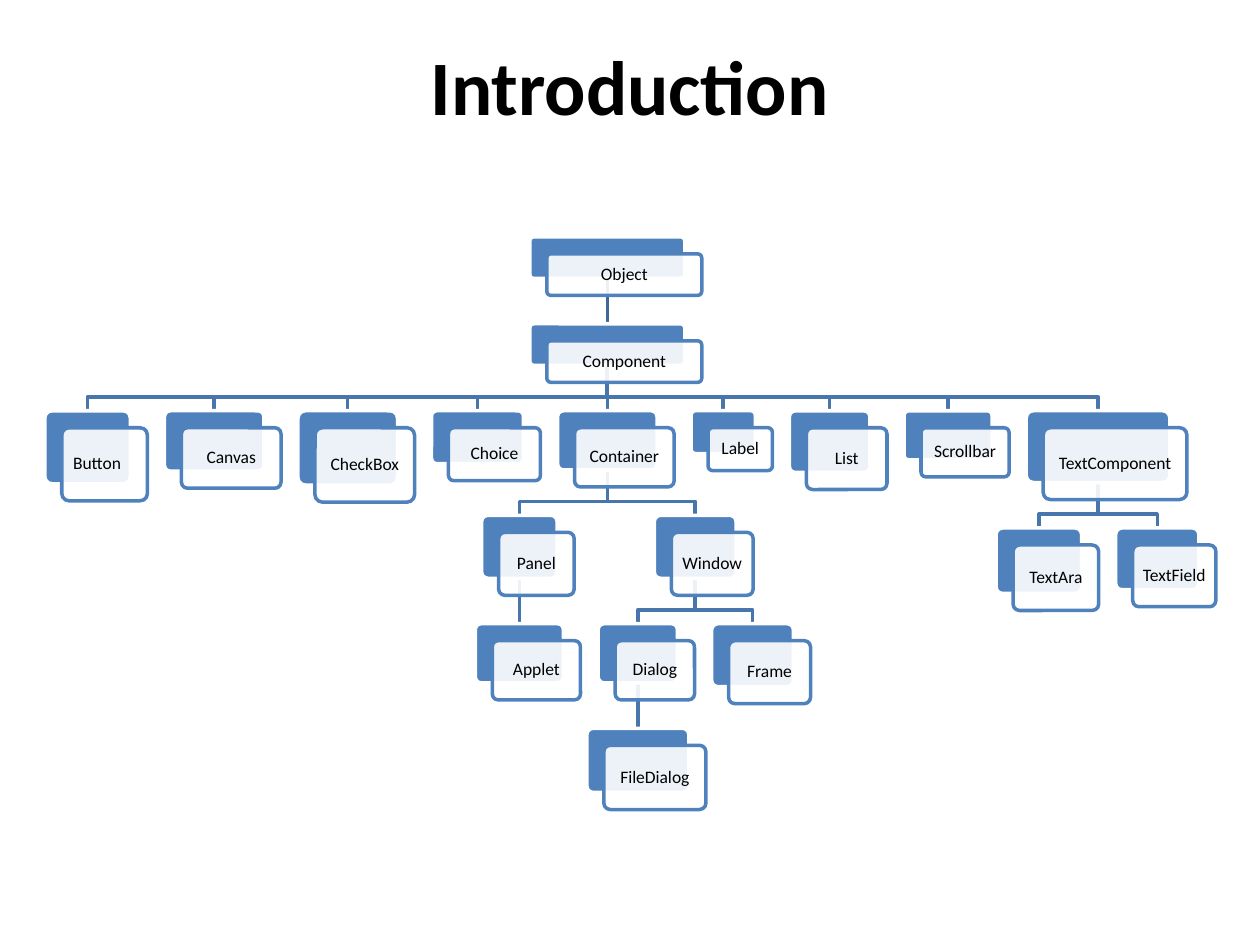
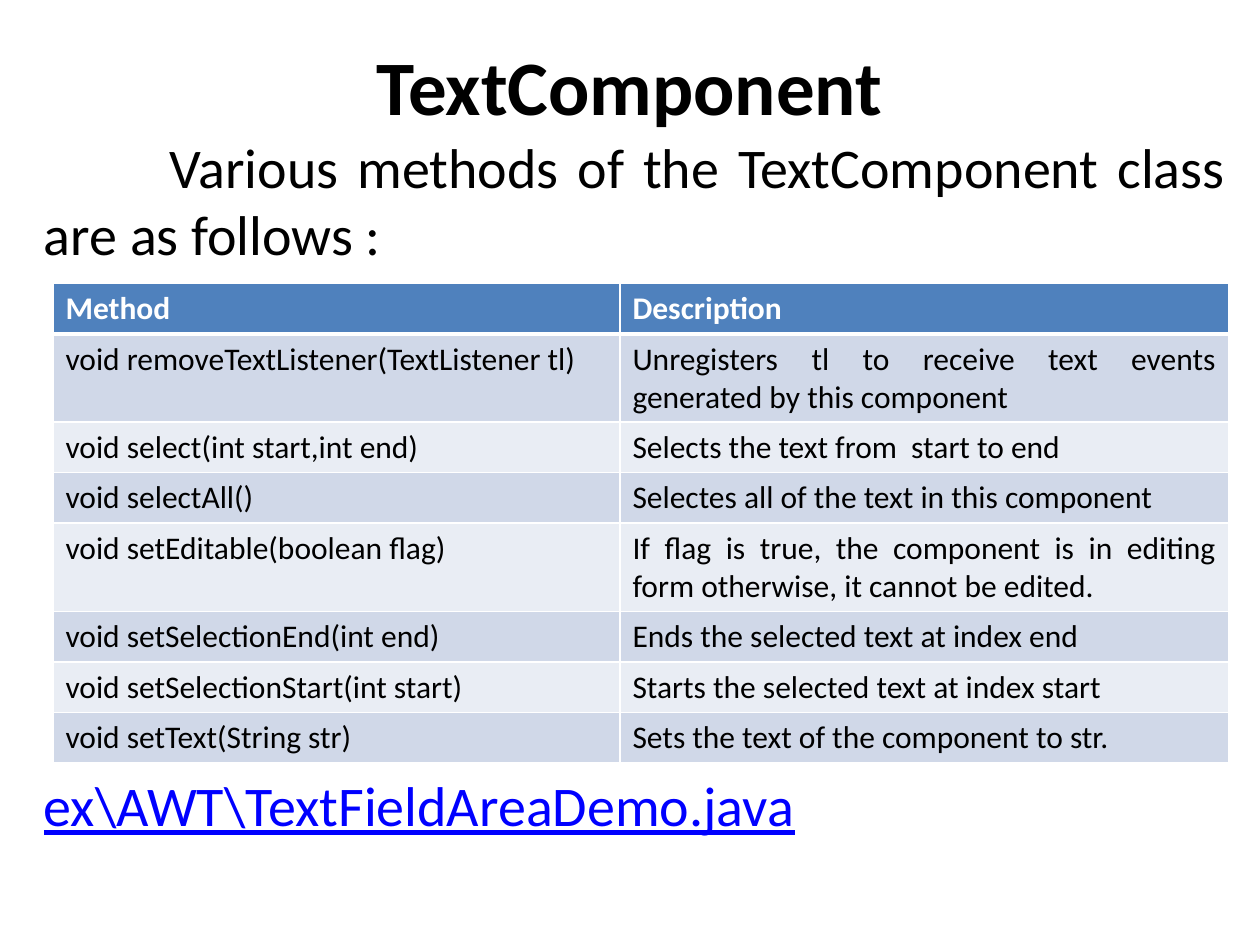
from dataclasses import dataclass

from lxml import etree
from pptx import Presentation
from pptx.dml.color import RGBColor
from pptx.enum.shapes import MSO_CONNECTOR, MSO_SHAPE
from pptx.enum.text import MSO_ANCHOR, MSO_AUTO_SIZE, PP_ALIGN
from pptx.oxml.ns import qn
from pptx.util import Emu, Inches, Pt

ROUNDED = MSO_SHAPE.ROUNDED_RECTANGLE
STRAIGHT = MSO_CONNECTOR.STRAIGHT
MIDDLE = MSO_ANCHOR.MIDDLE
GROW = MSO_AUTO_SIZE.SHAPE_TO_FIT_TEXT
LEFT, CENTER, JUSTIFY = PP_ALIGN.LEFT, PP_ALIGN.CENTER, PP_ALIGN.JUSTIFY

SLIDE_WIDTH, SLIDE_HEIGHT = Inches(10), Inches(7.5)
GRID_COLUMNS, GRID_ROWS = 100, 75


@dataclass(frozen=True)
class Theme:
    font: str = "Calibri"
    ink: str = "000000"
    paper: str = "FFFFFF"
    accent: str = "4F81BD"
    branch: str = "4875AC"
    trunk: str = "3F6797"
    link: str = "0000FF"
    bands: tuple[str, str] = ("D0D8E8", "E9EDF4")
    title_size: int = 44
    body_size: int = 32
    table_size: int = 18
    node_size: int = 10
    line_width: int = 2


THEME = Theme()


@dataclass(frozen=True)
class Area:
    left: float
    top: float
    width: float
    height: float

    def lengths(self) -> tuple[Emu, Emu, Emu, Emu]:
        return columns(self.left), rows(self.top), columns(self.width), rows(self.height)


@dataclass(frozen=True)
class Node:
    name: str
    width: float
    height: float
    children: tuple["Node", ...] = ()
    gap: float = 2.7


@dataclass(frozen=True)
class PlacedNode:
    name: str
    area: Area


@dataclass(frozen=True)
class Branch:
    start_x: float
    start_y: float
    end_x: float
    end_y: float
    color: str


TITLE_AREA = Area(0, 1.7, 100, 10)
INTRO_AREA = Area(2.5, 10, 95.8, 11.8)
LINK_AREA = Area(2.5, 60.7, 95.8, 6.4)
TABLE_AREA = Area(4.2, 22.5, 93.3, 29.6)
METHOD_COLUMN_WIDTH = 45
INTRO_INDENT = 10

TREE_CENTER, TREE_TOP = 48.2, 18.8
LEVEL_GAP, ELBOW_DROP = 3.6, 2.5
CARD_OFFSET = 1.35

CLASS_TREE = Node("Object", 12.3, 3.3, (
    Node("Component", 12.3, 3.3, (
        Node("Button\t", 6.8, 5.8),
        Node("Canvas", 7.9, 4.8),
        Node("CheckBox", 7.9, 5.9),
        Node("Choice", 7.3, 4.2),
        Node("Container", 7.9, 4.7, (
            Node("Panel", 6, 5, (Node("Applet", 7, 4.7),)),
            Node("Window", 6.5, 5, (
                Node("Dialog", 6.3, 4.7, (Node("FileDialog", 8.1, 5.1),)),
                Node("Frame", 6.5, 5),
            )),
        ), gap=7.7),
        Node("Label", 5.1, 3.4),
        Node("List", 6.4, 4.9),
        Node("Scrollbar", 7, 3.9),
        Node("TextComponent", 11.4, 5.7, (
            Node("TextAra", 6.8, 5.2),
            Node("TextField", 6.6, 4.9),
        )),
    )),
))

METHODS = (
    ("Method", "Description"),
    ("void removeTextListener(TextListener tl)",
     "Unregisters tl to receive text events generated by this component"),
    ("void select(int start,int end)", "Selects the text from  start to end"),
    ("void selectAll()", "Selectes all of the text in this component"),
    ("void setEditable(boolean flag)",
     "If flag is true, the component is in editing form otherwise, it cannot be edited."),
    ("void setSelectionEnd(int end)", "Ends the selected text at index end"),
    ("void setSelectionStart(int start)", "Starts the selected text at index start"),
    ("void setText(String str)", "Sets the text of the component to str."),
)


def columns(count: float) -> Emu:
    return Emu(round(SLIDE_WIDTH * count / GRID_COLUMNS))


def rows(count: float) -> Emu:
    return Emu(round(SLIDE_HEIGHT * count / GRID_ROWS))


def rgb(color: str) -> RGBColor:
    return RGBColor.from_string(color)


def write(text_frame, text: str, size: int, color: str = THEME.ink, alignment=LEFT,
          bold: bool = False, underline: bool = False):
    text_frame.text = text
    paragraph = text_frame.paragraphs[0]
    paragraph.alignment = alignment
    for run in paragraph.runs:
        run.font.name = THEME.font
        run.font.size = Pt(size)
        run.font.color.rgb = rgb(color)
        run.font.bold = bold
        run.font.underline = underline
    return paragraph


def add_titled_slide(presentation, title_text: str):
    slide = presentation.slides.add_slide(presentation.slide_layouts[0])
    subtitle = slide.placeholders[1].element
    subtitle.getparent().remove(subtitle)
    title = slide.shapes.title
    title.left, title.top, title.width, title.height = TITLE_AREA.lengths()
    title.text_frame.vertical_anchor = MIDDLE
    write(title.text_frame, title_text, THEME.title_size, alignment=CENTER, bold=True)
    return slide


def add_body_text(slide, area: Area, text: str, color: str = THEME.ink, underline: bool = False):
    text_frame = slide.shapes.add_textbox(*area.lengths()).text_frame
    text_frame.word_wrap = True
    text_frame.auto_size = GROW
    return write(text_frame, text, THEME.body_size, color, JUSTIFY, underline=underline)


def child_centers(node: Node, center: float) -> list[float]:
    centers, left = [], 0.0
    for child in node.children:
        centers.append(left + child.width / 2)
        left += child.width + node.gap
    count = len(centers)
    median = (centers[(count - 1) // 2] + centers[count // 2]) / 2
    return [center + child_center - median for child_center in centers]


def place_tree(node: Node, center: float, top: float, color: str,
               nodes: list[PlacedNode], branches: list[Branch]) -> None:
    nodes.append(PlacedNode(node.name, Area(center - node.width / 2, top, node.width, node.height)))
    if not node.children:
        return
    bottom = top + node.height
    child_top = bottom + LEVEL_GAP
    for child, child_center in zip(node.children, child_centers(node, center)):
        branches.append(Branch(center, bottom, child_center, child_top, color))
        place_tree(child, child_center, child_top, THEME.branch, nodes, branches)


def draw_branch(slide, branch: Branch) -> None:
    start = columns(branch.start_x), rows(branch.start_y)
    end = columns(branch.end_x), rows(branch.end_y)
    if abs(branch.start_x - branch.end_x) < 0.01:
        shape = slide.shapes.add_connector(STRAIGHT, *start, *end)
        etree.SubElement(shape.element.spPr, qn("a:effectLst"))
    else:
        elbow_y = rows(branch.start_y + ELBOW_DROP)
        builder = slide.shapes.build_freeform(*start)
        builder.add_line_segments([(start[0], elbow_y), (end[0], elbow_y), end], close=False)
        shape = builder.convert_to_shape()
        shape.shadow.inherit = False
        shape.fill.background()
    shape.line.color.rgb = rgb(branch.color)
    shape.line.width = Pt(THEME.line_width)


def add_card(slide, area: Area, fill: str, line: str):
    card = slide.shapes.add_shape(ROUNDED, *area.lengths())
    card.adjustments[0] = 0.1
    card.shadow.inherit = False
    card.fill.solid()
    card.fill.fore_color.rgb = rgb(fill)
    card.line.color.rgb = rgb(line)
    card.line.width = Pt(THEME.line_width)
    return card


def draw_node(slide, node: PlacedNode) -> None:
    area = node.area
    add_card(slide, area, THEME.accent, THEME.paper)
    front_area = Area(area.left + CARD_OFFSET, area.top + CARD_OFFSET, area.width, area.height)
    front = add_card(slide, front_area, THEME.paper, THEME.accent)
    fill_color = front.element.spPr.find(qn("a:solidFill")).find(qn("a:srgbClr"))
    etree.SubElement(fill_color, qn("a:alpha"), val="90000")
    text_frame = front.text_frame
    text_frame.word_wrap = True
    text_frame.vertical_anchor = MIDDLE
    text_frame.margin_left = text_frame.margin_right = columns(0.4)
    text_frame.margin_top = text_frame.margin_bottom = rows(0.4)
    write(text_frame, node.name, THEME.node_size, alignment=CENTER).line_spacing = 0.9


def set_borders(cell, top: int, bottom: int) -> None:
    properties = cell._tc.get_or_add_tcPr()
    for side, points in (("L", 1), ("R", 1), ("T", top), ("B", bottom)):
        line = etree.SubElement(properties, qn(f"a:ln{side}"), w=str(Pt(points)))
        fill = etree.SubElement(line, qn("a:solidFill"))
        etree.SubElement(fill, qn("a:srgbClr"), val=THEME.paper)


def add_method_table(slide) -> None:
    table = slide.shapes.add_table(len(METHODS), 2, *TABLE_AREA.lengths()).table
    table.columns[0].width = columns(METHOD_COLUMN_WIDTH)
    table.columns[1].width = columns(TABLE_AREA.width - METHOD_COLUMN_WIDTH)
    for row_index, texts in enumerate(METHODS):
        header = row_index == 0
        fill = THEME.accent if header else THEME.bands[(row_index - 1) % 2]
        color = THEME.paper if header else THEME.ink
        for column_index, text in enumerate(texts):
            cell = table.cell(row_index, column_index)
            set_borders(cell, top=3 if row_index == 1 else 1, bottom=3 if header else 1)
            cell.fill.solid()
            cell.fill.fore_color.rgb = rgb(fill)
            alignment = JUSTIFY if column_index == 1 and not header else LEFT
            write(cell.text_frame, text, THEME.table_size, color, alignment, bold=header)


def build_introduction(presentation) -> None:
    slide = add_titled_slide(presentation, "Introduction")
    nodes: list[PlacedNode] = []
    branches: list[Branch] = []
    place_tree(CLASS_TREE, TREE_CENTER, TREE_TOP, THEME.trunk, nodes, branches)
    for branch in branches:
        draw_branch(slide, branch)
    for node in nodes:
        draw_node(slide, node)


def build_text_component(presentation) -> None:
    slide = add_titled_slide(presentation, "TextComponent")
    intro = add_body_text(slide, INTRO_AREA,
                          "Various methods of the TextComponent class are as follows :")
    intro._p.get_or_add_pPr().set("indent", str(columns(INTRO_INDENT)))
    add_method_table(slide)
    add_body_text(slide, LINK_AREA, "ex\\AWT\\TextFieldAreaDemo.java", THEME.link, underline=True)


def main() -> None:
    presentation = Presentation()
    presentation.slide_width, presentation.slide_height = SLIDE_WIDTH, SLIDE_HEIGHT
    build_introduction(presentation)
    build_text_component(presentation)
    presentation.save("out.pptx")


if __name__ == "__main__":
    main()
